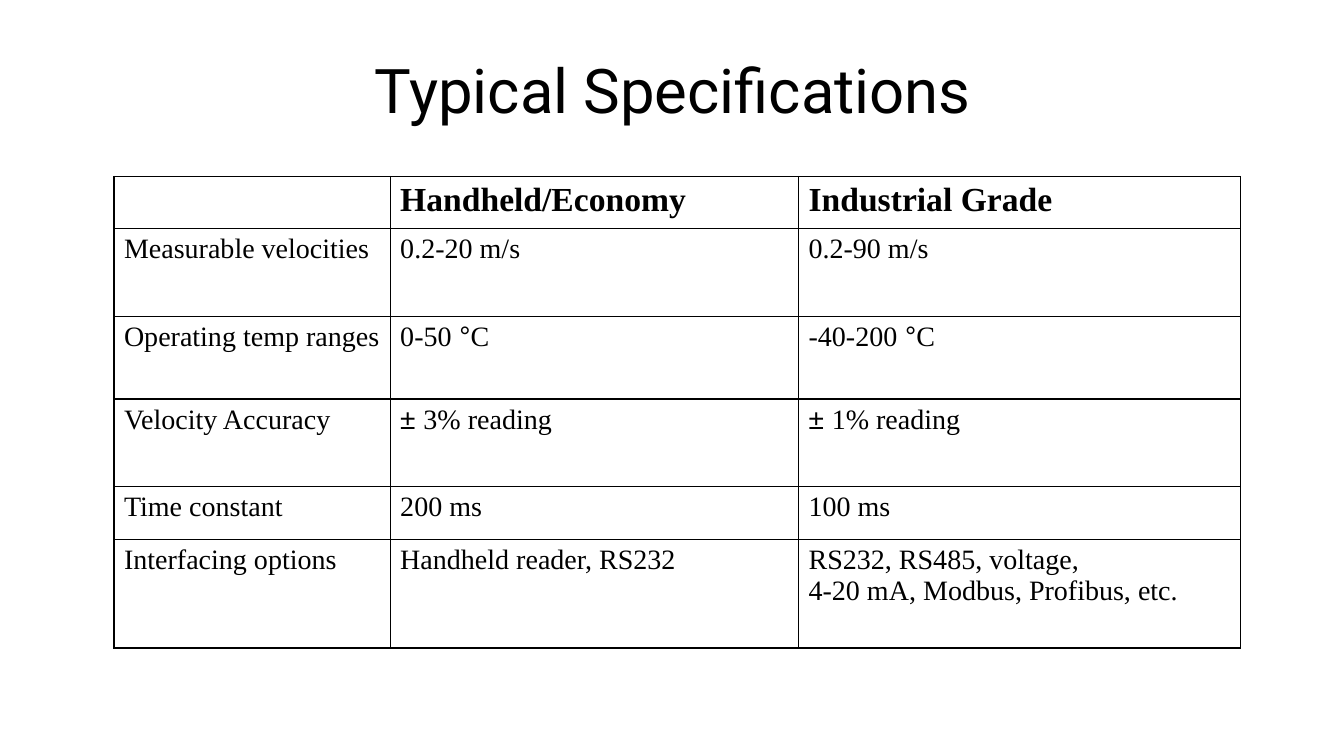
from dataclasses import dataclass

from lxml import etree
from pptx import Presentation
from pptx import util as u
from pptx.dml import color
from pptx.enum import text
from pptx.oxml import ns

TITLE = "Typical Specifications"
RUN_BREAK = "|"
SPECIFICATIONS = [
    ("", "Handheld/Economy", "Industrial Grade"),
    ("Measurable velocities", "0.2-20 m/s", "0.2-90 m/s"),
    ("Operating temp ranges", "0-50| °|C", "-40-200| °|C"),
    ("Velocity Accuracy", "± |3% reading", "± |1% reading"),
    ("Time constant", "200 ms", "100 ms"),
    ("Interfacing options", "Handheld reader, RS232",
     "RS232, RS485, voltage,\n4-20 mA, Modbus, Profibus, etc."),
]
COLUMN_WIDTHS = (2.74, 4.05, 4.38)
ROW_HEIGHTS = (0.52, 0.87, 0.82, 0.87, 0.52, 1.08)


@dataclass(frozen=True)
class Theme:
    ink: str = "000000"
    title_font: str = "Roboto"
    body_font: str = "Times New Roman"
    symbol_font: str = "Arial"
    title_size: int = 44
    header_size: int = 24
    body_size: int = 20
    border: int = 1
    hanging: float = 0.38


THEME = Theme()


def style(font, name, size, bold=False):
    font.name, font.size, font.bold = name, u.Pt(size), bold
    font.color.rgb = color.RGBColor.from_string(THEME.ink)


def add_title(page):
    box = page.shapes.add_textbox(u.Inches(0.68), u.Inches(0.3), u.Inches(11.99), u.Inches(1.25))
    frame = box.text_frame
    frame.word_wrap = True
    frame.vertical_anchor = text.MSO_ANCHOR.MIDDLE
    para = frame.paragraphs[0]
    para.text = TITLE
    para.alignment = text.PP_ALIGN.CENTER
    para.line_spacing = 0.9
    style(para.font, THEME.title_font, THEME.title_size)


def draw_borders(cell):
    properties = cell._tc.get_or_add_tcPr()
    for position, side in enumerate(("lnL", "lnR", "lnT", "lnB")):
        line = etree.Element(ns.qn(f"a:{side}"), w=str(u.Pt(THEME.border)))
        fill = etree.SubElement(line, ns.qn("a:solidFill"))
        etree.SubElement(fill, ns.qn("a:srgbClr"), val=THEME.ink)
        properties.insert(position, line)


def write_paragraph(para, content, header):
    indent = u.Inches(THEME.hanging)
    properties = para._p.get_or_add_pPr()
    properties.set("marL", str(indent))
    properties.set("indent", str(-indent))
    style(para.font, THEME.body_font, THEME.header_size if header else THEME.body_size, header)
    for piece in content.split(RUN_BREAK):
        span = para.add_run()
        span.text = piece
        if "°" in piece or "±" in piece:
            span.font.name = THEME.symbol_font


def fill_cell(cell, content, header):
    cell.fill.background()
    draw_borders(cell)
    frame = cell.text_frame
    for number, line in enumerate(content.splitlines()):
        para = frame.add_paragraph() if number else frame.paragraphs[0]
        write_paragraph(para, line, header)


def add_specifications(page):
    frame = page.shapes.add_table(
        len(SPECIFICATIONS), len(COLUMN_WIDTHS), u.Inches(1.13), u.Inches(1.75),
        u.Inches(sum(COLUMN_WIDTHS)), u.Inches(sum(ROW_HEIGHTS)))
    table = frame.table
    table.first_row = table.horz_banding = False
    for column, width in zip(table.columns, COLUMN_WIDTHS):
        column.width = u.Inches(width)
    for row_number, (row, height) in enumerate(zip(table.rows, ROW_HEIGHTS)):
        row.height = u.Inches(height)
        for cell, content in zip(row.cells, SPECIFICATIONS[row_number]):
            fill_cell(cell, content, header=row_number == 0)


def main():
    deck = Presentation()
    deck.slide_width, deck.slide_height = u.Inches(13.33), u.Inches(7.5)
    page = deck.slides.add_slide(deck.slide_layouts[6])
    add_title(page)
    add_specifications(page)
    deck.save("out.pptx")


if __name__ == "__main__":
    main()
